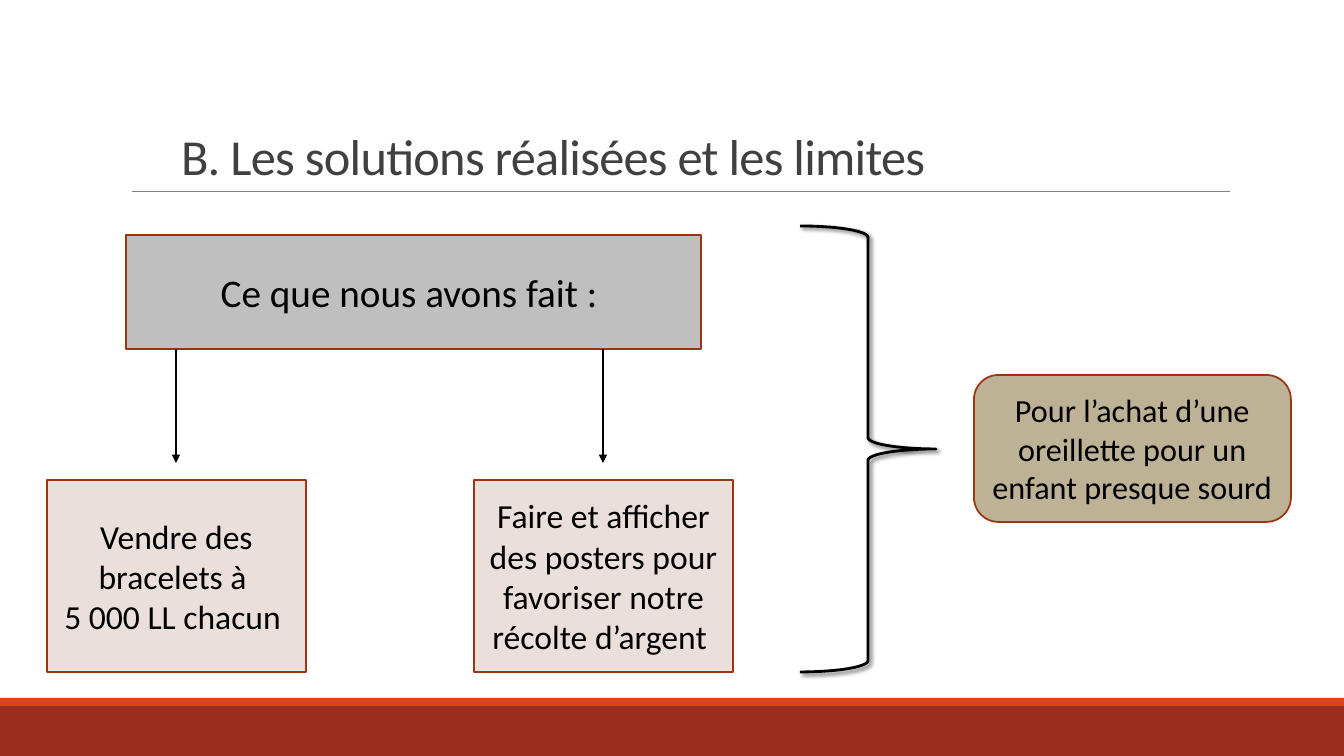
from lxml import etree
from pptx import Presentation
from pptx.dml.color import RGBColor
from pptx.enum.shapes import MSO_CONNECTOR, MSO_SHAPE
from pptx.enum.text import MSO_ANCHOR, PP_ALIGN
from pptx.oxml.ns import qn
from pptx.util import Emu, Pt

RECT = MSO_SHAPE.RECTANGLE
ROUND = MSO_SHAPE.ROUNDED_RECTANGLE
BRACE = MSO_SHAPE.RIGHT_BRACE
STRAIGHT = MSO_CONNECTOR.STRAIGHT
MIDDLE, BOTTOM = MSO_ANCHOR.MIDDLE, MSO_ANCHOR.BOTTOM
CENTER, LEFT = PP_ALIGN.CENTER, PP_ALIGN.LEFT

FONT = "Calibri"
SCALE = 914400 / 100.8
COLORS = {
    "band": "9B2D1F",
    "stripe": "D34817",
    "rule": "808080",
    "title": "404040",
    "head": "BFBFBF",
    "step": "EBDFDB",
    "goal": "BDB196",
    "edge": "9C3511",
    "ink": "000000",
}


def px(n):
    return Emu(round(n * SCALE))


def rgb(name):
    return RGBColor.from_string(COLORS[name])


def add_text(frame, lines, size, color="ink", align=CENTER, anchor=MIDDLE):
    """Write one paragraph per line and return the runs."""
    frame.word_wrap = True
    frame.vertical_anchor = anchor
    runs = []
    for i, line in enumerate(lines):
        para = frame.paragraphs[0] if i == 0 else frame.add_paragraph()
        para.alignment = align
        run = para.add_run()
        run.text = line
        run.font.name = FONT
        run.font.size = Pt(size)
        run.font.color.rgb = rgb(color)
        runs.append(run)
    return runs


def add_shape(slide, kind, box, fill=None, edge=None, width=1.25):
    shape = slide.shapes.add_shape(kind, *map(px, box))
    shape.shadow.inherit = False
    if fill:
        shape.fill.solid()
        shape.fill.fore_color.rgb = rgb(fill)
    else:
        shape.fill.background()
    if edge:
        shape.line.color.rgb = rgb(edge)
        shape.line.width = Pt(width)
    else:
        shape.line.fill.background()
    return shape


def add_box(slide, kind, box, fill, lines, size):
    shape = add_shape(slide, kind, box, fill, "edge")
    add_text(shape.text_frame, lines, size)


def add_line(slide, x1, y1, x2, y2, color, width, arrow=False):
    line = slide.shapes.add_connector(STRAIGHT, px(x1), px(y1), px(x2), px(y2))
    line.line.color.rgb = rgb(color)
    line.line.width = Pt(width)
    props = line._element.spPr
    if arrow:
        etree.SubElement(props.find(qn("a:ln")), qn("a:tailEnd"), type="triangle")
    etree.SubElement(props, qn("a:effectLst"))


def add_title(slide, text):
    box = slide.shapes.add_textbox(px(121), px(31), px(1109), px(160))
    frame = box.text_frame
    run = add_text(frame, [text], 36, "title", LEFT, BOTTOM)[0]
    frame.margin_left = px(60)
    frame.paragraphs[0].line_spacing = 0.85
    run.font._element.set("spc", "-50")


def add_brace(slide, box):
    """Draw the right brace with a soft shadow to its lower right."""
    brace = add_shape(slide, BRACE, box, edge="ink", width=2)
    effects = brace._element.spPr.find(qn("a:effectLst"))
    shadow = etree.SubElement(
        effects, qn("a:outerShdw"), blurRad=str(Pt(3)), dist=str(Pt(2)),
        dir=str(45 * 60000), algn="tl", rotWithShape="0")
    tint = etree.SubElement(shadow, qn("a:srgbClr"), val=COLORS["ink"])
    etree.SubElement(tint, qn("a:alpha"), val="60000")


def main():
    deck = Presentation()
    deck.slide_width, deck.slide_height = px(1344), px(756)
    slide = deck.slides.add_slide(deck.slide_layouts[6])

    add_shape(slide, RECT, (0, 706, 1344, 50), "band")
    add_shape(slide, RECT, (0, 698, 1344, 8), "stripe")
    add_line(slide, 132, 191, 1230, 191, "rule", 0.5)
    add_title(slide, "B. Les solutions réalisées et les limites")

    add_box(slide, RECT, (126, 235, 575, 114), "head",
            ["Ce que nous avons fait : "], 28)
    steps = [
        (47, ["Vendre des bracelets à ", "5 000 LL chacun "]),
        (474, ["Faire et afficher des posters pour favoriser notre "
               "récolte d’argent "]),
    ]
    wide = 259
    for left, lines in steps:
        mid = left + wide // 2
        add_line(slide, mid, 349, mid, 463, "ink", 1.25, arrow=True)
        add_box(slide, RECT, (left, 480, wide, 192), "step", lines, 24)

    add_brace(slide, (800, 226, 136, 446))
    add_box(slide, ROUND, (974, 375, 317, 147), "goal",
            ["Pour l’achat d’une oreillette pour un enfant presque sourd"], 23)
    deck.save("out.pptx")


if __name__ == "__main__":
    main()
